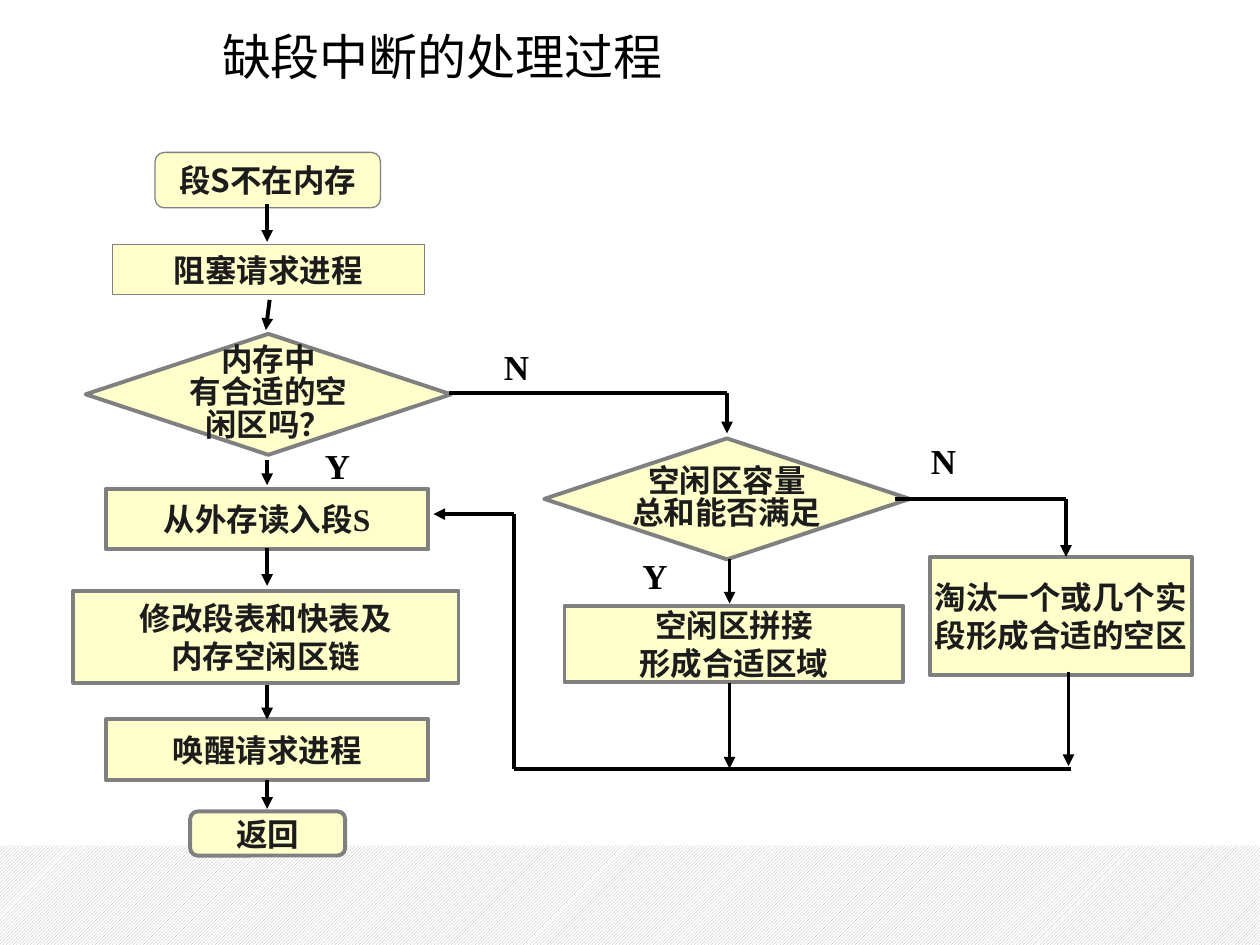
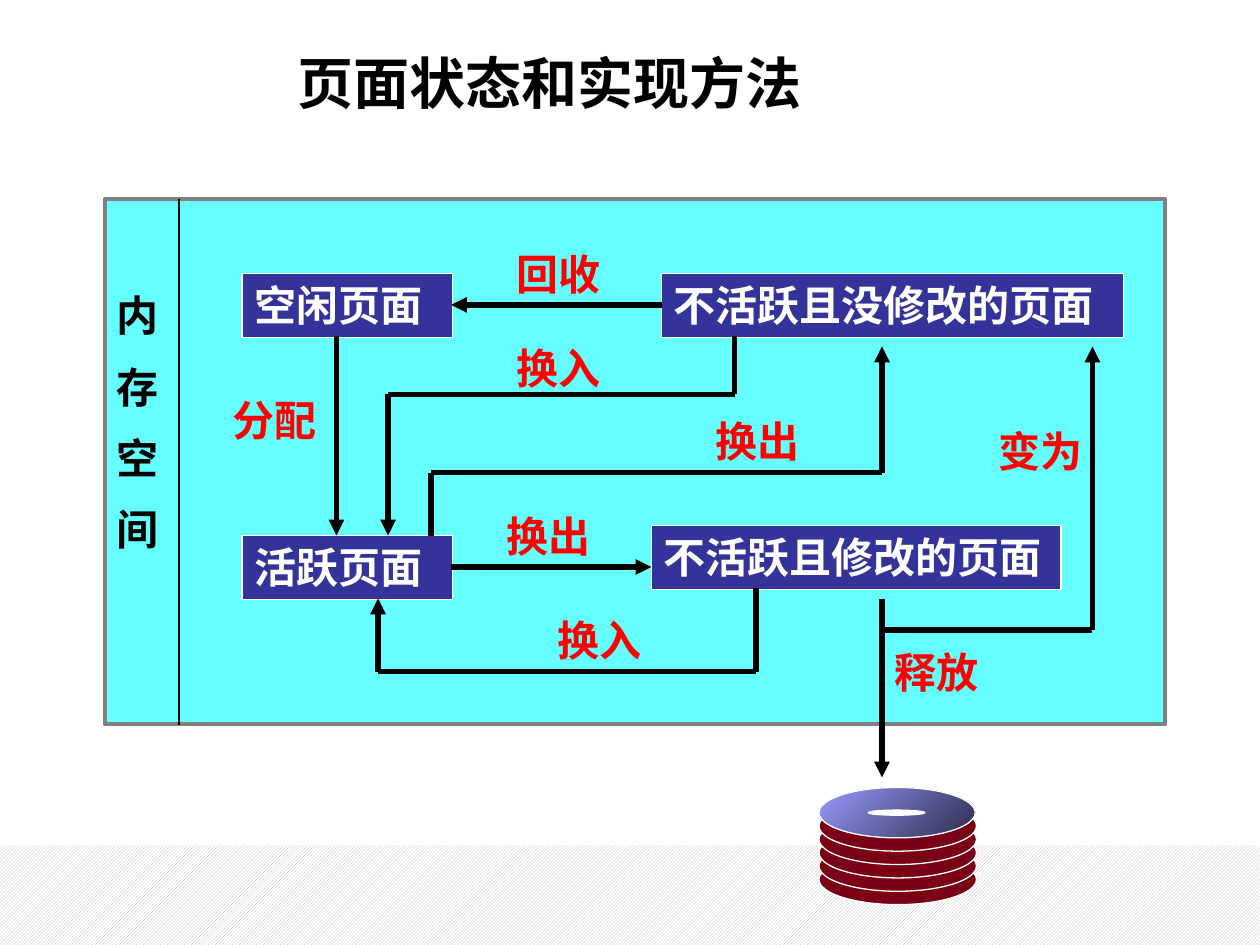
"""Build two slides: segment fault handling and page states."""
from itertools import pairwise

from pptx import Presentation
from pptx.dml.color import RGBColor
from pptx.enum.dml import MSO_PATTERN
from pptx.enum.shapes import MSO_CONNECTOR, MSO_SHAPE as SHAPE
from pptx.enum.text import MSO_ANCHOR as ANCHOR, PP_ALIGN as ALIGN
from pptx.oxml.ns import qn
from pptx.util import Inches, Pt
from lxml.etree import SubElement

BLACK, WHITE, GRAY, INK = "000000", "FFFFFF", "808080", "1C1C1C"
CREAM, CYAN, NAVY, RED, MAROON = "FFFFCC", "66FFFF", "333399", "FF0000", "790015"
SANS, SERIF, LABEL_FONT = "Noto Sans CJK SC", "Times New Roman", "Karla"


def color(hex_code):
    """Turn a hex string into a colour."""
    return RGBColor.from_string(hex_code)


def box(place):
    """Turn left, top, width and height in inches into lengths."""
    return [Inches(value) for value in place]


def write(shape, lines, size, font_name, font_color, bold=True, align=ALIGN.LEFT,
          anchor=ANCHOR.TOP, wrap=True, spacing=None, before=0):
    """Fill a shape with one paragraph per line."""
    frame = shape.text_frame
    frame.word_wrap = wrap
    frame.vertical_anchor = anchor
    for index, line in enumerate(lines):
        paragraph = frame.add_paragraph() if index else frame.paragraphs[0]
        paragraph.alignment = align
        if spacing:
            paragraph.line_spacing = spacing
        if index and before:
            paragraph.space_before = Pt(before)
        run = paragraph.add_run()
        run.text = line
        run.font.size = Pt(size)
        run.font.bold = bold
        run.font.name = font_name
        run.font.color.rgb = color(font_color)
        SubElement(run.font._element, qn("a:ea"), typeface=LABEL_FONT)


def add_shape(slide, kind, place, fill, line=None, width=0.75):
    """Add a flat preset shape."""
    shape = slide.shapes.add_shape(kind, *box(place))
    shape.shadow.inherit = False
    shape.fill.solid()
    shape.fill.fore_color.rgb = color(fill)
    if line:
        shape.line.color.rgb = color(line)
        shape.line.width = Pt(width)
    else:
        shape.line.fill.background()
    return shape


def add_text(slide, place, lines, size, font_name, font_color, **style):
    """Add a text box."""
    shape = slide.shapes.add_textbox(*box(place))
    write(shape, lines, size, font_name, font_color, **style)


def add_route(slide, points, width, arrow=True):
    """Join points with straight lines, with an arrowhead at the last point."""
    for start, end in pairwise(points):
        line = slide.shapes.add_connector(
            MSO_CONNECTOR.STRAIGHT, *box(start), *box(end))
        line.line.color.rgb = color(BLACK)
        line.line.width = Pt(width)
        properties = line._element.spPr
        if arrow and end == points[-1]:
            SubElement(properties.find(qn("a:ln")), qn("a:tailEnd"), type="triangle")
        SubElement(properties, qn("a:effectLst"))


def add_step(slide, kind, place, lines, width=2.25, font_name=SERIF):
    """Add a flowchart step with centred text."""
    shape = add_shape(slide, kind, place, CREAM, GRAY, width)
    write(shape, lines, 18, font_name, INK, align=ALIGN.CENTER, anchor=ANCHOR.MIDDLE,
          wrap=False, spacing=0.85 if kind == SHAPE.DIAMOND else None)


def add_state(slide, place, name):
    """Add a page state box."""
    shape = add_shape(slide, SHAPE.RECTANGLE, place, NAVY, WHITE)
    write(shape, [name], 24, LABEL_FONT, WHITE)


def add_disk(slide, left, top):
    """Add a disk stack with a shaded top plate."""
    for layer in range(5, 0, -1):
        add_shape(slide, SHAPE.OVAL, (left, top + 0.106 * layer, 1.25, 0.4), MAROON, WHITE)
    plate = add_shape(slide, SHAPE.OVAL, (left, top, 1.24, 0.4), NAVY, WHITE)
    plate.fill.gradient()
    plate.fill.gradient_angle = 315
    for stop, position, shade in zip(plate.fill.gradient_stops, (0, 1), ("9999FF", "2D2D4B")):
        stop.position = position
        stop.color.rgb = color(shade)
    add_shape(slide, SHAPE.OVAL, (left + 0.39, top + 0.18, 0.45, 0.04), WHITE, WHITE)


def new_slide(presentation):
    """Add a blank slide with the hatched bottom band."""
    slide = presentation.slides.add_slide(presentation.slide_layouts[6])
    band = add_shape(slide, SHAPE.RECTANGLE, (0, 6.71, 10, 0.79), WHITE)
    band.fill.patterned()
    band.fill.pattern = MSO_PATTERN.DARK_UPWARD_DIAGONAL
    band.fill.fore_color.rgb = color("B2B2B2")
    band.fill.back_color.rgb = color(WHITE)
    return slide


def build_segment_fault(presentation):
    """Draw the flowchart for a missing segment."""
    slide = new_slide(presentation)
    add_text(slide, (0, 0.16, 7.02, 1.24), ["缺段中断的处理过程"], 28, SANS, BLACK,
             bold=False, align=ALIGN.CENTER)

    add_step(slide, SHAPE.ROUNDED_RECTANGLE, (1.23, 1.21, 1.79, 0.44), ["段S不在内存"],
             0.75, SANS)
    add_step(slide, SHAPE.RECTANGLE, (0.89, 1.94, 2.48, 0.4), ["阻塞请求进程"], 0.75)
    for kind, place, lines in (
        (SHAPE.DIAMOND, (0.68, 2.65, 2.9, 0.96), ["内存中", "有合适的空", "闲区吗？"]),
        (SHAPE.RECTANGLE, (0.84, 3.88, 2.56, 0.48), ["从外存读入段S"]),
        (SHAPE.RECTANGLE, (0.58, 4.69, 3.06, 0.73), ["修改段表和快表及", "内存空闲区链"]),
        (SHAPE.RECTANGLE, (0.84, 5.71, 2.56, 0.48), ["唤醒请求进程"]),
        (SHAPE.FLOWCHART_ALTERNATE_PROCESS, (1.51, 6.44, 1.23, 0.35), ["返回"]),
        (SHAPE.DIAMOND, (4.32, 3.48, 2.9, 0.96), ["空闲区容量", "总和能否满足"]),
        (SHAPE.RECTANGLE, (4.48, 4.81, 2.69, 0.6), ["空闲区拼接", "形成合适区域"]),
        (SHAPE.RECTANGLE, (7.38, 4.42, 2.08, 0.94), ["淘汰一个或几个实", "段形成合适的空区"]),
    ):
        add_step(slide, kind, place, lines)

    for top, bottom in ((1.62, 1.92), (3.65, 3.85), (4.35, 4.65), (5.44, 5.71), (6.19, 6.42)):
        add_route(slide, [(2.12, top), (2.12, bottom)], 2.25)
    for points in (
        [(2.14, 2.38), (2.11, 2.62)],
        [(3.56, 3.12), (5.77, 3.12), (5.77, 3.44)],
        [(7.1, 3.96), (8.46, 3.96), (8.46, 4.42)],
        [(5.79, 4.44), (5.79, 4.79)],
        [(5.79, 5.42), (5.79, 6.1)],
        [(8.48, 5.33), (8.48, 6.08)],
        [(8.5, 6.1), (4.08, 6.1), (4.08, 4.08), (3.44, 4.08)],
    ):
        add_route(slide, points, 2.25)

    for answer, left, top in (("N", 3.9, 2.69), ("N", 7.29, 3.44),
                              ("Y", 5, 4.35), ("Y", 2.48, 3.48)):
        add_text(slide, (left, top, 0.62, 0.43), [answer], 20, SERIF, BLACK)


def build_page_states(presentation):
    """Draw the page states and the moves between them."""
    slide = new_slide(presentation)
    add_shape(slide, SHAPE.RECTANGLE, (0.83, 1.58, 8.42, 4.17), CYAN, GRAY, 2.25)
    for name, left, top, width in (
        ("空闲页面", 1.92, 2.17, 1.67),
        ("活跃页面", 1.92, 4.25, 1.67),
        ("不活跃且修改的页面", 5.17, 4.17, 3.25),
        ("不活跃且没修改的页面", 5.25, 2.17, 3.67),
    ):
        add_state(slide, (left, top, width, 0.51), name)
    add_disk(slide, 6.5, 6.25)
    add_text(slide, (2.26, 0.15, 5.08, 0.82), ["页面状态和实现方法"], 32, SANS, BLACK,
             anchor=ANCHOR.BOTTOM)

    for label, left, top, points in (
        ("分配", 1.75, 3.08, [(2.67, 2.67), (2.67, 4.25)]),
        ("换出", 3.92, 4, [(3.58, 4.5), (5.17, 4.5)]),
        ("换出", 5.58, 3.25, [(3.42, 4.25), (3.42, 3.75), (7, 3.75), (7, 2.75)]),
        ("换入", 4.33, 4.83, [(6, 4.67), (6, 5.33), (3, 5.33), (3, 4.75)]),
        ("换入", 4, 2.67, [(5.83, 2.67), (5.83, 3.13), (3.08, 3.13), (3.08, 4.25)]),
        ("回收", 4, 1.92, [(5.25, 2.42), (3.58, 2.42)]),
        ("释放", 7, 5.08, [(7, 4.75), (7, 6.17)]),
        ("变为", 7.83, 3.33, [(7, 5), (8.67, 5), (8.67, 2.75)]),
    ):
        add_route(slide, points, 3)
        add_text(slide, (left, top, 1, 0.5), [label], 24, LABEL_FONT, RED)

    add_route(slide, [(1.42, 1.58), (1.42, 5.75)], 0.75, arrow=False)
    add_text(slide, (0.83, 2.25, 0.58, 2.3), list("内存空间"), 24, LABEL_FONT, BLACK, before=12)


def main():
    """Build and save the presentation."""
    presentation = Presentation()
    presentation.slide_width, presentation.slide_height = Inches(10), Inches(7.5)
    build_segment_fault(presentation)
    build_page_states(presentation)
    presentation.save("out.pptx")


if __name__ == "__main__":
    main()
